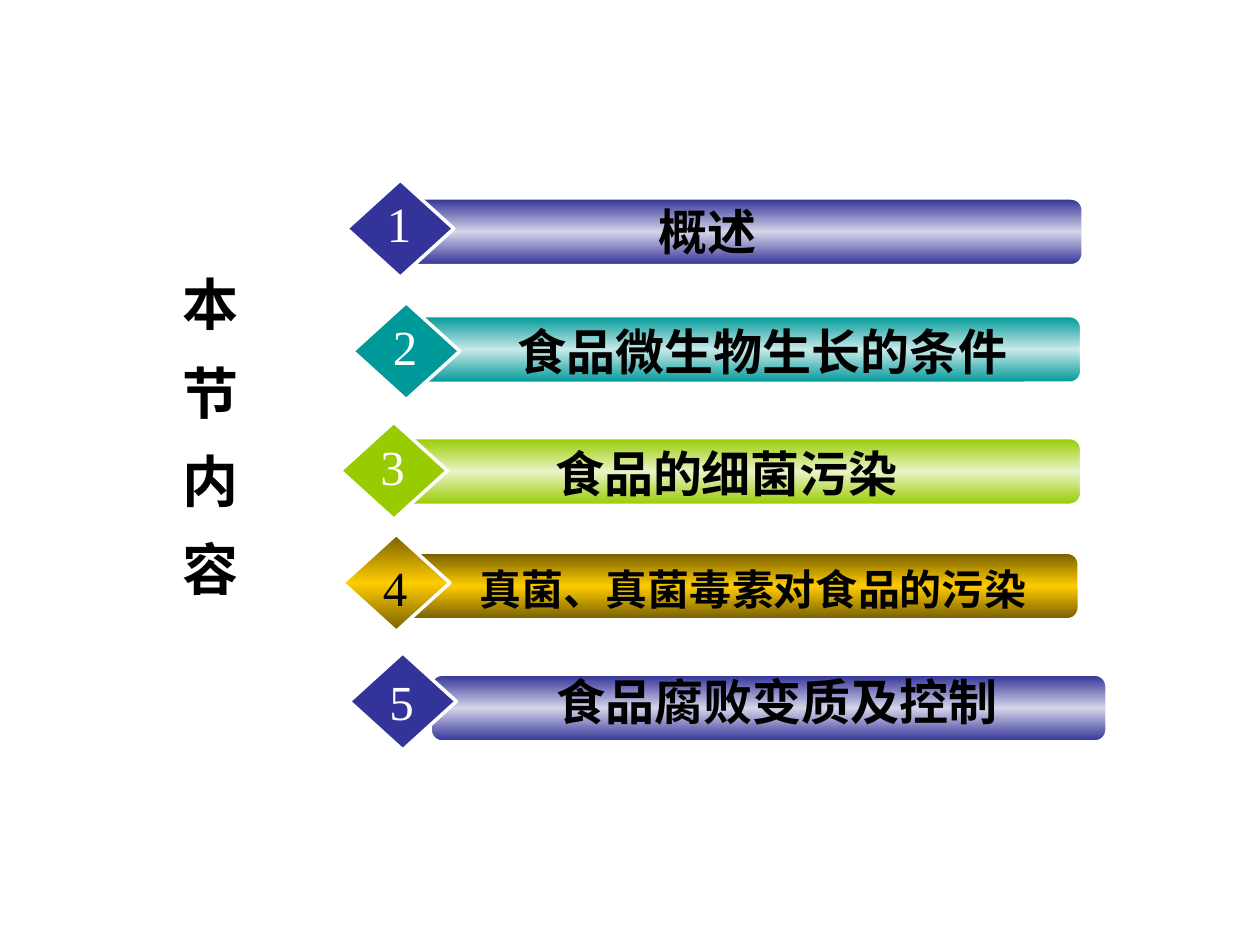
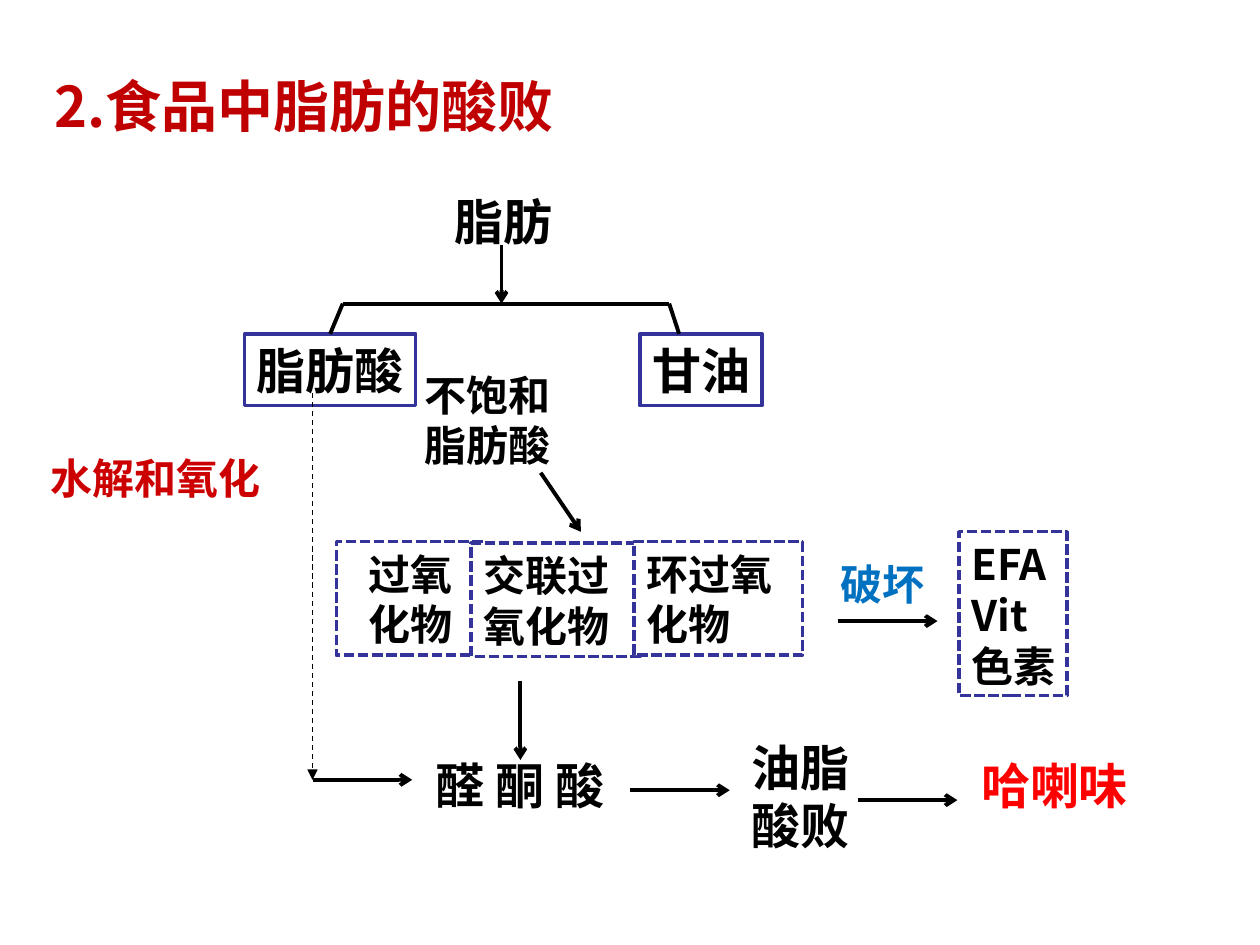
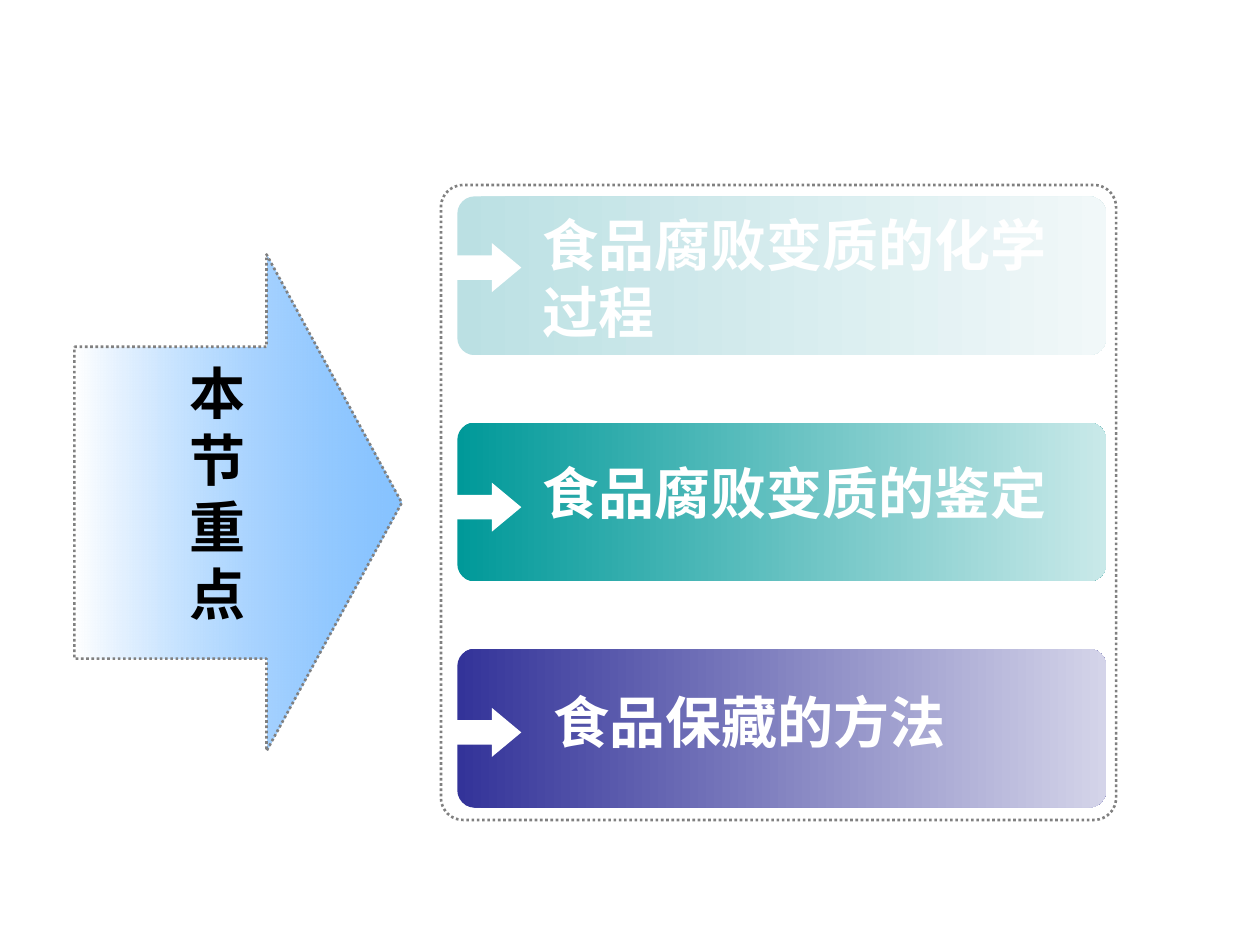
from copy import deepcopy
from dataclasses import dataclass

from lxml.etree import SubElement
from pptx import Presentation
from pptx.dml.color import RGBColor
from pptx.enum.dml import MSO_LINE as Dash
from pptx.enum.shapes import MSO_CONNECTOR as Link, MSO_SHAPE as Form
from pptx.enum.text import MSO_ANCHOR as Anchor, MSO_AUTO_SIZE as Fit, PP_ALIGN as Align
from pptx.oxml.ns import qn
from pptx.util import Cm, Pt


@dataclass(frozen=True)
class Theme:
    black: str = "000000"
    white: str = "FFFFFF"
    grey: str = "808080"
    indigo: str = "333399"
    pale_indigo: str = "D4D4E9"
    teal: str = "009999"
    pale_teal: str = "C9E9E9"
    lime: str = "99CC00"
    pale_lime: str = "E9F4C9"
    gold: str = "FFCC00"
    dark_gold: str = "765E00"
    mist: str = "BBE0E3"
    pale_mist: str = "F1F8F9"
    sky: str = "3399FF"
    title_red: str = "C00000"
    note_red: str = "CC0000"
    bright_red: str = "FF0000"
    blue: str = "0070C0"
    sans: str = "Noto Sans CJK SC"
    serif: str = "Times New Roman"
    arial: str = "Arial"
    cabin: str = "Cabin"
    title: int = 32
    label: int = 28
    small: int = 24


THEME = Theme()


def apply(target, values):
    for name, value in values.items():
        setattr(target, name, value)


class SlideBuilder:
    def __init__(self, deck, theme):
        self.deck = deck
        self.theme = theme
        self.page = None

    def new_page(self):
        self.page = self.deck.slides.add_slide(self.deck.slide_layouts[5])

    def fill_text(self, box, text, size, color=None, font=None, bold=True,
                  align=Align.LEFT, wrap=True, before=0, spacing=None):
        frame = box.text_frame
        frame.text = text
        apply(frame, {
            "auto_size": Fit.NONE, "word_wrap": wrap, "vertical_anchor": Anchor.TOP,
            "margin_left": Cm(0.25), "margin_right": Cm(0.25),
            "margin_top": Cm(0.13), "margin_bottom": Cm(0.13),
        })
        for index, para in enumerate(frame.paragraphs):
            apply(para, {"alignment": align, "space_before": Pt(before if index else 0)})
            if spacing:
                para.line_spacing = spacing
            for span in para.runs:
                apply(span.font, {"size": Pt(size), "bold": bold,
                                  "name": font or self.theme.sans})
                span.font.color.rgb = RGBColor.from_string(color or self.theme.black)
        for properties in box.element.iter(qn("a:rPr")):
            SubElement(properties, qn("a:ea"), typeface=self.theme.cabin)

    def title(self, text, at, **style):
        box = self.page.shapes.title
        apply(box, dict(zip(("left", "top", "width", "height"), map(Cm, at))))
        self.fill_text(box, text, self.theme.title, **style)
        box.element.getparent().append(box.element)

    def text(self, text, at, size, **style):
        self.fill_text(self.page.shapes.add_textbox(*map(Cm, at)), text, size, **style)

    def shape(self, form, at, fill=None, line=None, width=1, dash=None, adjust=()):
        box = self.page.shapes.add_shape(form, *map(Cm, at))
        box.shadow.inherit = False
        for index, value in enumerate(adjust):
            box.adjustments[index] = value
        if isinstance(fill, tuple):
            self.gradient(box, fill)
        elif fill:
            box.fill.solid()
            box.fill.fore_color.rgb = RGBColor.from_string(fill)
        else:
            box.fill.background()
        if line:
            self.stroke(box.line, line, width, dash)
        else:
            box.line.fill.background()
        return box

    def gradient(self, box, colors):
        box.fill.gradient()
        box.fill.gradient_angle = 90 if len(colors) == 3 else 0
        stop_list = box.element.spPr.find(".//" + qn("a:gsLst"))
        while len(stop_list) < len(colors):
            stop_list.append(deepcopy(stop_list[0]))
        for index, (stop, color) in enumerate(zip(box.fill.gradient_stops, colors)):
            stop.color.rgb = RGBColor.from_string(color)
            stop.position = index / (len(colors) - 1)

    def fade_last_stop(self, box, percent):
        last_color = box.element.spPr.findall(".//" + qn("a:srgbClr"))[1]
        SubElement(last_color, qn("a:alpha"), val=str(percent * 1000))

    def stroke(self, line, color, width, dash=None):
        line.color.rgb = RGBColor.from_string(color)
        line.width = Pt(width)
        if dash:
            line.dash_style = dash

    def connector(self, start, end, head=None, width=2.25, dash=None, source=None):
        link = self.page.shapes.add_connector(Link.STRAIGHT, *map(Cm, start + end))
        if source:
            link.begin_connect(source, 0)
        self.stroke(link.line, self.theme.black, width, dash)
        properties = link.element.spPr
        if head:
            SubElement(properties.find(qn("a:ln")), qn("a:tailEnd"), type=head)
        SubElement(properties, qn("a:effectLst"))


def build_contents(builder):
    t = builder.theme
    builder.new_page()
    builder.title("本\n节\n内\n容", (2.9, 5.31, 2.69, 6.96), font=t.serif,
                  align=Align.CENTER, before=12)
    indigo = (t.indigo, t.pale_indigo, t.indigo)
    teal = (t.teal, t.pale_teal, t.teal)
    lime = (t.lime, t.pale_lime, t.lime)
    gold = (t.dark_gold, t.gold, t.dark_gold)
    topics = [
        ("概述", indigo, t.indigo, t.white, t.label,
         (8.23, 4.01, 13.59), (6.99, 3.63), (8.89, 3.94, 10.74), 0.15),
        ("食品微生物生长的条件", teal, t.teal, t.white, t.label,
         (8.2, 6.38, 13.59), (7.11, 6.1), (8.69, 6.35, 13.36), 0.15),
        ("食品的细菌污染", lime, t.lime, t.white, t.label,
         (8.05, 8.84, 13.74), (6.86, 8.51), (7.62, 8.81, 14.05), 0.15),
        ("真菌、真菌毒素对食品的污染", gold, gold, t.black, t.small,
         (8.15, 11.15, 13.59), (6.91, 10.77), (8.31, 11.23, 13.74), 0.33),
        ("食品腐败变质及控制", indigo, t.indigo, t.white, t.label,
         (8.69, 13.61, 13.61), (7.04, 13.16), (10.29, 13.41, 10.74), 0.25),
    ]
    for number, topic in enumerate(topics, 1):
        name, bar_fill, fill, number_color, size, bar, diamond, label, drop = topic
        left, top = diamond
        builder.shape(Form.ROUNDED_RECTANGLE, (*bar, 1.33), bar_fill, t.white, 1,
                      adjust=(0.167,))
        builder.shape(Form.DIAMOND, (left, top, 2.16, 1.96), fill, t.white, 2)
        builder.text(str(number), (left + 0.32, top + drop, 1.47, 1.45), t.label,
                     color=number_color, font=t.serif, bold=False, align=Align.CENTER)
        builder.text(name, (*label, 1.45), size, align=Align.CENTER)


def build_rancidity(builder):
    t = builder.theme
    builder.new_page()
    builder.title("2.食品中脂肪的酸败", (0.84, 1.32, 13.06, 1.75),
                  color=t.title_red, wrap=False)

    labels = [
        ("脂肪", (8.92, 3.73, 2.46, 1.45), t.label, {}),
        ("醛 酮 酸", (8.53, 15.11, 4.45, 1.45), t.label, {}),
        ("不饱和\n脂肪酸", (8.31, 7.32, 3.05, 2.29), t.small, {}),
        ("破坏", (16.69, 11.13, 2.18, 1.27), t.small, {"color": t.blue}),
        ("油脂\n酸败", (14.91, 14.73, 2.46, 2.64), t.label, {}),
        ("哈喇味", (19.53, 15.11, 3.45, 1.45), t.label, {"color": t.bright_red}),
        ("水解和氧化", (0.76, 8.99, 4.72, 1.27), t.small,
         {"color": t.note_red, "font": t.cabin}),
    ]
    for text, at, size, style in labels:
        builder.text(text, at, size, wrap=False, **style)

    boxes = [
        ("脂肪酸", (4.93, 6.73, 3.45, 1.45), t.label, None, {"wrap": False}),
        ("甘油", (12.9, 6.73, 2.46, 1.45), t.label, None, {"wrap": False}),
        ("过氧化物", (6.78, 10.92, 3, 2.29), t.small, Dash.SQUARE_DOT,
         {"align": Align.CENTER}),
        ("交联过氧化物", (9.5, 10.95, 3.4, 2.29), t.small, Dash.SQUARE_DOT, {}),
        ("环过氧化物", (12.78, 10.92, 3.4, 2.29), t.small, Dash.SQUARE_DOT, {}),
        ("EFA\nVit\n色素", (19.33, 10.72, 2.18, 3.3), t.small, Dash.SQUARE_DOT,
         {"wrap": False, "spacing": Pt(29)}),
    ]
    drawn = {}
    for text, at, size, dash, style in boxes:
        drawn[text] = builder.shape(Form.RECTANGLE, at, t.white, t.indigo, 2, dash)
        builder.fill_text(drawn[text], text, size, **style)

    arrows = [
        ((10.11, 4.93), (10.11, 6.12)),
        ((10.9, 9.53), (11.71, 10.72)),
        ((10.49, 13.72), (10.49, 15.32)),
        ((6.3, 15.72), (8.31, 15.72)),
        ((16.89, 12.52), (18.9, 12.52)),
        ((12.7, 15.93), (14.71, 15.93)),
        ((17.3, 16.13), (19.3, 16.13)),
    ]
    for start, end in arrows:
        builder.connector(start, end, "arrow")
    builder.connector((6.3, 7.92), (6.3, 15.72), "triangle", 0.75, Dash.DASH)
    builder.connector((6.65, 6.73), (6.91, 6.12), source=drawn["脂肪酸"])
    builder.connector((6.91, 6.12), (13.49, 6.12))
    builder.connector((13.49, 6.12), (13.69, 6.73))


def build_key_points(builder):
    t = builder.theme
    builder.new_page()
    arrow = builder.shape(Form.RIGHT_ARROW, (1.5, 5.13, 6.6, 10.01), (t.white, t.sky),
                          t.grey, 1.5, Dash.ROUND_DOT, (0.628, 0.413))
    builder.fade_last_stop(arrow, 59)
    builder.title("本\n节\n重\n点", (3.58, 7.09, 1.73, 5.69), font=t.arial)
    builder.shape(Form.ROUNDED_RECTANGLE, (8.89, 3.73, 13.61, 12.8), None,
                  t.grey, 1.5, Dash.ROUND_DOT, (0.035,))
    points = [
        ("食品腐败变质的化学过程", (t.mist, t.pale_mist), 4.9, (10.69, 4.11, 10.8, 2.97)),
        ("食品腐败变质的鉴定", (t.teal, t.pale_teal), 9.73, (10.69, 9.12, 11.05, 1.63)),
        ("食品保藏的方法", (t.indigo, t.pale_indigo), 14.27, (10.9, 13.72, 9.6, 2.97)),
    ]
    for index, (text, fill, arrow_top, at) in enumerate(points):
        builder.shape(Form.ROUNDED_RECTANGLE, (9.22, 3.96 + 4.56 * index, 13.08, 3.2),
                      fill, adjust=(0.109,))
        builder.shape(Form.RIGHT_ARROW, (9.09, arrow_top, 1.42, 0.99), t.white,
                      adjust=(0.5, 0.601))
        builder.text(text, at, t.title, color=t.white, font=t.cabin)


def main():
    deck = Presentation()
    apply(deck, {"slide_width": Cm(25.4), "slide_height": Cm(19.05)})
    builder = SlideBuilder(deck, THEME)
    for build in (build_contents, build_rancidity, build_key_points):
        build(builder)
    deck.save("out.pptx")


if __name__ == "__main__":
    main()
